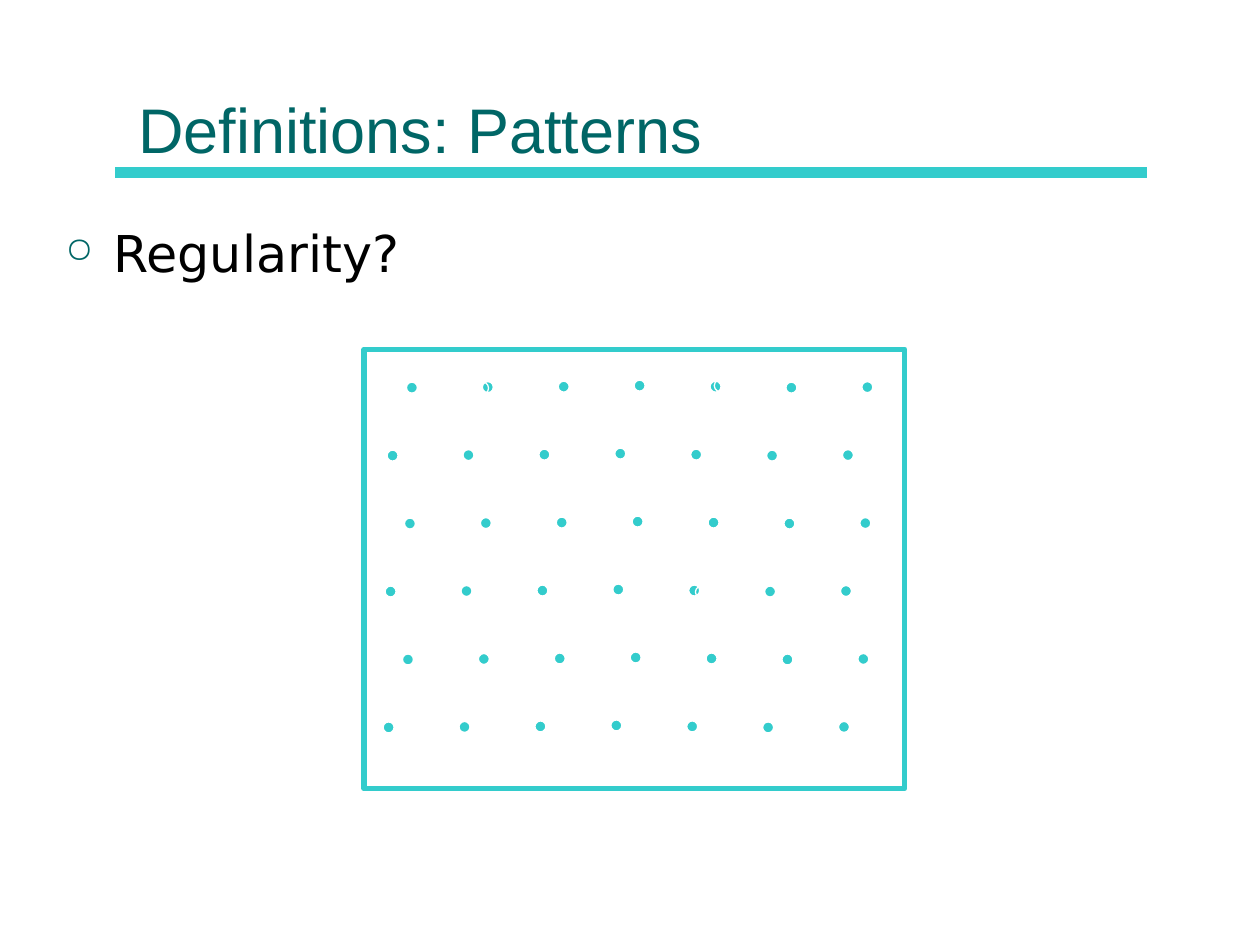
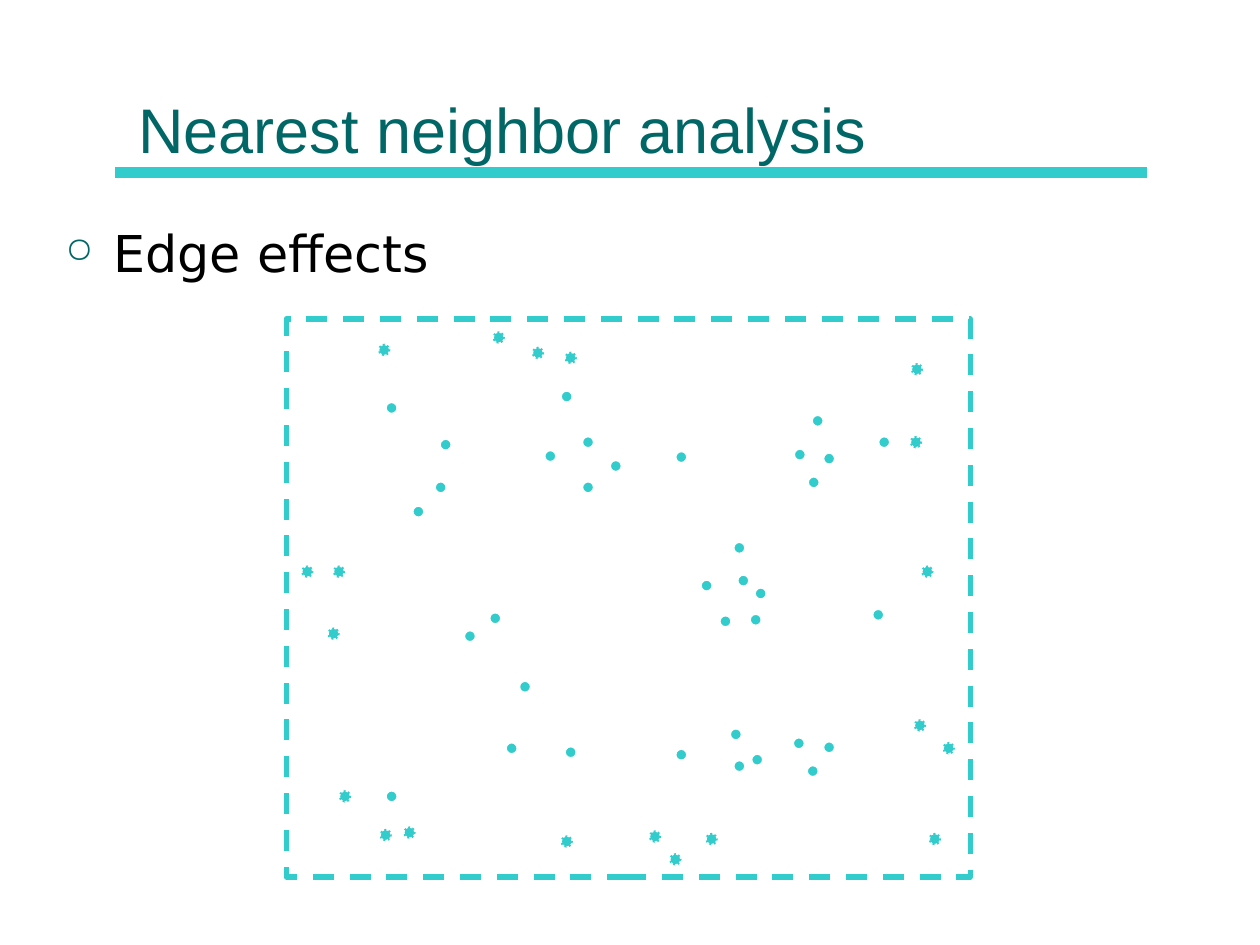
from lxml import etree
from pptx import Presentation
from pptx.dml.color import RGBColor
from pptx.enum.dml import MSO_LINE
from pptx.enum.shapes import MSO_CONNECTOR, MSO_SHAPE
from pptx.enum.text import MSO_ANCHOR
from pptx.oxml.ns import qn
from pptx.util import Cm, Pt

TEAL, AQUA, WHITE, BLACK = "006666", "33CCCC", "FFFFFF", "000000"
OVAL, RECT = MSO_SHAPE.OVAL, MSO_SHAPE.RECTANGLE
STRAIGHT = MSO_CONNECTOR.STRAIGHT
DASH, DOTTED = MSO_LINE.DASH, MSO_LINE.ROUND_DOT
TOP, BOTTOM = MSO_ANCHOR.TOP, MSO_ANCHOR.BOTTOM
TITLE_FONT, BODY_FONT = "Arial", "DejaVu Sans"
DOT = 0.25

ROWS, COLUMN_PITCH, ROW_PITCH = 6, 1.53, 1.37
GRID_LEFT, GRID_TOP = 8.18, 7.69
ROW_SHIFT, ROW_DRIFT = 0.37, 0.02
COLUMN_WOBBLE = [0, -0.01, -0.02, -0.04, -0.02, 0, -0.01]
RINGS = [(9.6, 7.7), (14.4, 7.65), (14.02, 11.81)]

INNER_POINTS = [
    (7.77, 8.1), (8.86, 8.84), (8.76, 9.7), (8.31, 10.19),
    (11.3, 7.87), (11.73, 8.79), (10.97, 9.07), (12.29, 9.27),
    (11.73, 9.7), (13.61, 9.09), (16.36, 8.36), (16, 9.04),
    (16.59, 9.12), (16.28, 9.6), (17.7, 8.79), (14.78, 10.92),
    (14.12, 11.68), (14.86, 11.58), (15.21, 11.84), (14.5, 12.4),
    (15.11, 12.37), (17.58, 12.27), (9.86, 12.34), (9.35, 12.7),
    (10.46, 13.72), (10.19, 14.96), (11.38, 15.04), (7.77, 15.93),
    (13.61, 15.09), (14.71, 14.68), (15.14, 15.19), (14.78, 15.32),
    (15.98, 14.86), (16.59, 14.94), (16.26, 15.42),
]
EDGE_POINTS = [
    (7.62, 6.93), (9.93, 6.68), (10.72, 6.99), (11.38, 7.09),
    (18.36, 7.32), (18.34, 8.79), (18.57, 11.4), (18.42, 14.5),
    (19, 14.96), (18.72, 16.79), (6.07, 11.4), (6.71, 11.4),
    (6.6, 12.65), (6.83, 15.93), (7.65, 16.71), (8.13, 16.66),
    (11.3, 16.84), (13.08, 16.74), (13.49, 17.2), (14.22, 16.79),
]


def rgb(value):
    """Turn a hex string into a colour."""
    return RGBColor.from_string(value)


def add_text(s, box, text, font, size, color, anchor=TOP):
    """Add a one-paragraph text box and return its paragraph."""
    tf = s.shapes.add_textbox(*map(Cm, box)).text_frame
    tf.word_wrap = True
    tf.vertical_anchor = anchor
    p = tf.paragraphs[0]
    p.text = text
    r = p.runs[0]
    r.font.name, r.font.size = font, Pt(size)
    r.font.color.rgb = rgb(color)
    return p


def add_bullet(p):
    """Give a paragraph a small teal ring bullet with a hanging indent."""
    pPr = p._p.get_or_add_pPr()
    pPr.set("marL", str(Cm(0.97)))
    pPr.set("indent", str(-Cm(0.97)))
    clr = etree.SubElement(pPr, qn("a:buClr"))
    etree.SubElement(clr, qn("a:srgbClr"), val=TEAL)
    etree.SubElement(pPr, qn("a:buSzPct"), val="70000")
    etree.SubElement(pPr, qn("a:buChar"), char="○")


def add_rule(s):
    """Draw the band under the title."""
    line = s.shapes.add_connector(STRAIGHT, Cm(2.32), Cm(3.48), Cm(23.12), Cm(3.48))
    line.line.color.rgb = rgb(AQUA)
    line.line.width = Pt(6)
    etree.SubElement(line._element.spPr, qn("a:effectLst"))


def add_outline(s, kind, box, color, width, fill=None, dash=None):
    """Add an outlined shape, hollow unless a fill is given."""
    sp = s.shapes.add_shape(kind, *map(Cm, box))
    sp.shadow.inherit = False
    if fill:
        sp.fill.solid()
        sp.fill.fore_color.rgb = rgb(fill)
    else:
        sp.fill.background()
    sp.line.color.rgb = rgb(color)
    sp.line.width = Pt(width)
    if dash:
        sp.line.dash_style = dash


def add_dots(s, points, dash=None):
    """Add a filled dot at each point."""
    for x, y in points:
        add_outline(s, OVAL, (x, y, DOT, DOT), WHITE, 1.5, AQUA, dash)


def regular_points():
    """Return the staggered grid of evenly spaced points."""
    return [
        (GRID_LEFT - row * ROW_DRIFT - row % 2 * ROW_SHIFT + col * COLUMN_PITCH,
         GRID_TOP + row * ROW_PITCH + wobble)
        for row in range(ROWS)
        for col, wobble in enumerate(COLUMN_WOBBLE)
    ]


def add_slide(prs, title, bullet):
    """Add a slide with the shared title, band and bullet."""
    s = prs.slides.add_slide(prs.slide_layouts[6])
    add_rule(s)
    add_text(s, (2.54, 0.3, 20.32, 3.18), title, TITLE_FONT, 36, TEAL, BOTTOM)
    add_bullet(add_text(s, (1.07, 4.34, 23.19, 11.43), bullet, BODY_FONT, 29, BLACK))
    return s


def main():
    """Build the two slides."""
    prs = Presentation()
    prs.slide_width, prs.slide_height = Cm(25.4), Cm(19.05)

    s = add_slide(prs, "Definitions: Patterns", "Regularity?")
    add_outline(s, RECT, (7.34, 7.04, 10.9, 8.86), AQUA, 3)
    add_dots(s, regular_points())
    for x, y in RINGS:
        add_outline(s, OVAL, (x, y, DOT, DOT), WHITE, 0.75)

    s = add_slide(prs, "Nearest neighbor analysis", "Edge effects")
    add_outline(s, RECT, (5.77, 6.43, 13.79, 11.25), AQUA, 3, dash=DASH)
    add_dots(s, INNER_POINTS)
    add_dots(s, EDGE_POINTS, DOTTED)

    prs.save("out.pptx")


if __name__ == "__main__":
    main()
